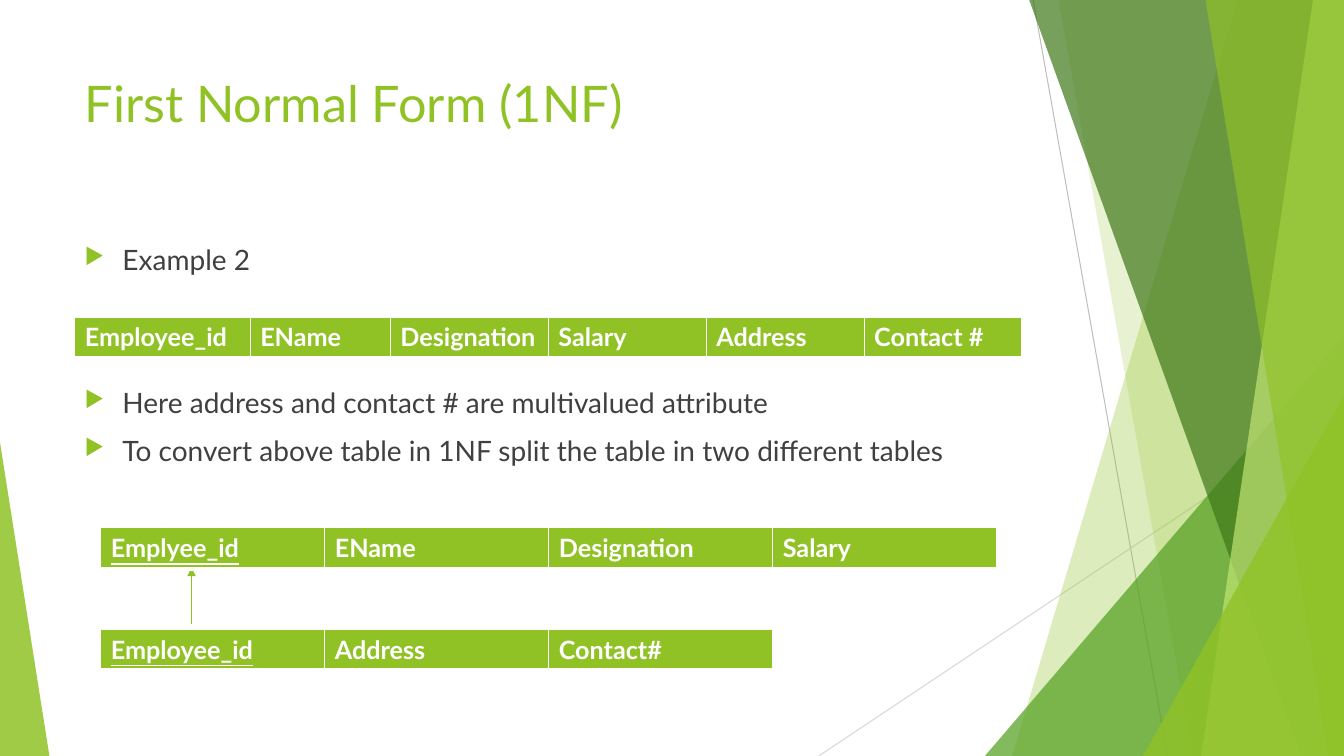
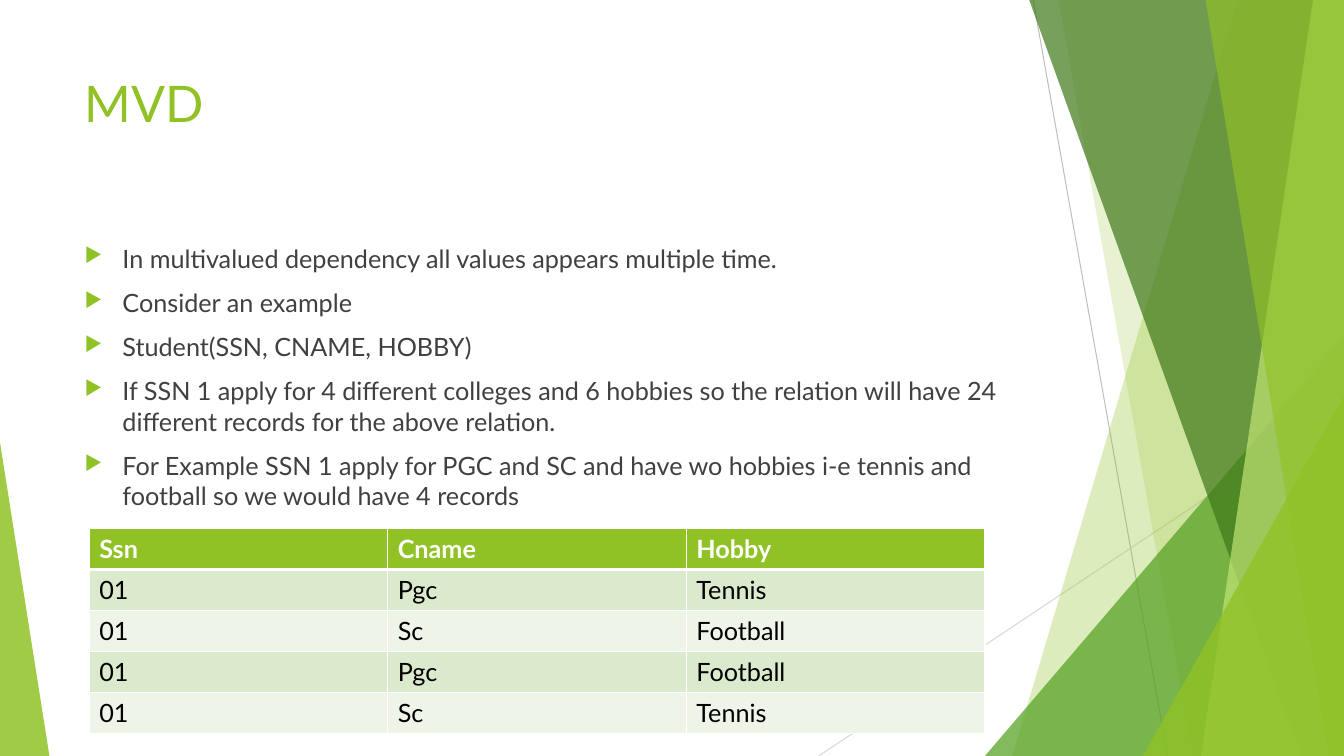
import lxml.etree
import pptx
import pptx.dml.color
import pptx.enum.shapes
import pptx.enum.text
import pptx.oxml.ns
import pptx.util

Pt = pptx.util.Pt
qn = pptx.oxml.ns.qn
RGBColor = pptx.dml.color.RGBColor
SubElement = lxml.etree.SubElement

LIME = RGBColor(0x90, 0xC2, 0x26)
GREEN = RGBColor(0x54, 0xA0, 0x21)
FOREST = RGBColor(0x3F, 0x78, 0x19)
PALE_LIME = RGBColor(0xC0, 0xE4, 0x74)
BAND_DARK = RGBColor(0xDB, 0xE9, 0xCD)
BAND_LIGHT = RGBColor(0xEE, 0xF4, 0xE8)
SILVER = RGBColor(0xBF, 0xBF, 0xBF)
LIGHT_GREY = RGBColor(0xD9, 0xD9, 0xD9)
BODY_GREY = RGBColor(0x40, 0x40, 0x40)
BLACK = RGBColor(0, 0, 0)
WHITE = RGBColor(0xFF, 0xFF, 0xFF)

FONT = "Lato"
WIDTH, HEIGHT = 960, 540
PANEL_TOP = -0.6
TEXT_LEFT, TEXT_WIDTH = 53.4, 676.8
ROW_HEIGHT = 29.3
BULLET_GAP = 10
TABLE_GAP = 78

LINES = [
    (738, 0, 834, HEIGHT, SILVER, 0.75, False),
    (WIDTH, 290, 584.8, HEIGHT, LIGHT_GREY, 0.75, False),
]
DECORATIONS = [
    ("panel", 884, 723, LIME, 30),
    ("panel", 756, 852, LIME, 20),
    ("right wedge", 703.5, 240, GREEN, 72),
    ("panel", 735, 929.5, FOREST, 70),
    ("panel", 938, 858, PALE_LIME, 70),
    ("panel", 861, 949, LIME, 65),
    ("right wedge", 816.5, 283, LIME, 80),
    ("left wedge", 35.3, 316, LIME, 85),
]
PAGES = [
    {
        "title": "First Normal Form (1NF)",
        "bullet_size": 20,
        "bullets": [
            ("Example 2", BULLET_GAP),
            ("Here address and contact # are multivalued attribute", TABLE_GAP),
            ("To convert above table in 1NF split the table in two different tables", BULLET_GAP),
        ],
        "tables": [
            (53.4, 226.4, [125.3, 100.2] + [112.8] * 4, False,
             [["Employee_id", "EName", "Designation", "Salary", "Address", "Contact #"]]),
            (72, 376.9, [160] * 4, True, [["Emplyee_id", "EName", "Designation", "Salary"]]),
            (72, 449.4, [160] * 3, True, [["Employee_id", "Address", "Contact#"]]),
        ],
        "arrows": [(136.8, 446, 136.8, 405.5, LIME, 1, True)],
    },
    {
        "title": "MVD",
        "bullet_size": 18,
        "bullets": [
            ("In multivalued dependency all values appears multiple time.", BULLET_GAP),
            ("Consider an example", BULLET_GAP),
            ("Student(SSN, CNAME, HOBBY)", BULLET_GAP),
            ("If SSN 1 apply for 4 different colleges and 6 hobbies so the relation "
             "will have 24 different records for the above relation.", BULLET_GAP),
            ("For Example SSN 1 apply for PGC and SC and have wo hobbies i-e tennis "
             "and football so we would have 4 records", BULLET_GAP),
        ],
        "tables": [
            (63.7, 377.5, [213.3] * 3, False, [
                ["Ssn", "Cname", "Hobby"],
                ["01", "Pgc", "Tennis"],
                ["01", "Sc", "Football"],
                ["01", "Pgc", "Football"],
                ["01", "Sc", "Tennis"],
            ]),
        ],
        "arrows": [],
    },
]


def write_text(paragraph, text, size=18, color=BLACK, bold=False, underline=False,
               bullet=False, space_before=0):
    run = paragraph.add_run()
    run.text = text
    run.font.name = FONT
    run.font.size = Pt(size)
    run.font.color.rgb = color
    run.font.bold = bold
    run.font.underline = underline
    paragraph.space_before = Pt(space_before)
    if bullet:
        properties = paragraph._p.get_or_add_pPr()
        properties.set("marL", str(Pt(27)))
        properties.set("indent", str(-Pt(27)))
        bullet_color = SubElement(properties, qn("a:buClr"))
        SubElement(bullet_color, qn("a:srgbClr"), val=str(LIME))
        SubElement(properties, qn("a:buSzPct"), val="80000")
        SubElement(properties, qn("a:buChar"), char="▶")


presentation = pptx.Presentation()
presentation.slide_width = Pt(WIDTH)
presentation.slide_height = Pt(HEIGHT)

for page in PAGES:
    slide = presentation.slides.add_slide(presentation.slide_layouts[6])
    shapes = slide.shapes

    for x1, y1, x2, y2, color, weight, arrowhead in LINES + page["arrows"]:
        connector = shapes.add_connector(
            pptx.enum.shapes.MSO_CONNECTOR.STRAIGHT, Pt(x1), Pt(y1), Pt(x2), Pt(y2))
        connector.line.color.rgb = color
        connector.line.width = Pt(weight)
        if arrowhead:
            SubElement(connector.line._get_or_add_ln(), qn("a:tailEnd"), type="triangle")
        SubElement(connector._element.spPr, qn("a:effectLst"))

    for kind, first, second, color, opacity in DECORATIONS:
        if kind == "panel":
            builder = shapes.build_freeform(Pt(first), Pt(PANEL_TOP))
            builder.add_line_segments([
                (Pt(WIDTH), Pt(PANEL_TOP)), (Pt(WIDTH), Pt(HEIGHT)), (Pt(second), Pt(HEIGHT))])
            shape = builder.convert_to_shape()
        else:
            on_right = kind == "right wedge"
            left, right = (first, WIDTH) if on_right else (0, first)
            shape = shapes.add_shape(
                pptx.enum.shapes.MSO_SHAPE.ISOSCELES_TRIANGLE,
                Pt(left), Pt(second), Pt(right - left), Pt(HEIGHT - second))
            shape.adjustments[0] = 1 if on_right else 0
        shape.shadow.inherit = False
        shape.fill.solid()
        shape.fill.fore_color.rgb = color
        fill_color = shape._element.spPr.find(qn("a:solidFill")).find(qn("a:srgbClr"))
        SubElement(fill_color, qn("a:alpha"), val=str(opacity * 1000))
        shape.line.fill.background()

    title = shapes.add_textbox(Pt(TEXT_LEFT), Pt(48), Pt(TEXT_WIDTH), Pt(104)).text_frame
    title.word_wrap = True
    write_text(title.paragraphs[0], page["title"], size=36, color=LIME)

    body = shapes.add_textbox(Pt(TEXT_LEFT), Pt(170), Pt(TEXT_WIDTH), Pt(305)).text_frame
    body.word_wrap = True
    for index, (text, gap) in enumerate(page["bullets"]):
        paragraph = body.add_paragraph() if index else body.paragraphs[0]
        write_text(paragraph, text, size=page["bullet_size"], color=BODY_GREY,
                   bullet=True, space_before=gap)

    for left, top, widths, has_key, rows in page["tables"]:
        table = shapes.add_table(
            len(rows), len(widths), Pt(left), Pt(top),
            Pt(sum(widths)), Pt(ROW_HEIGHT * len(rows))).table
        for column, width in zip(table.columns, widths):
            column.width = Pt(width)
        for row_index, values in enumerate(rows):
            table.rows[row_index].height = Pt(ROW_HEIGHT)
            header = row_index == 0
            band = BAND_DARK if row_index % 2 else BAND_LIGHT
            for column_index, value in enumerate(values):
                cell = table.cell(row_index, column_index)
                cell_properties = cell._tc.get_or_add_tcPr()
                for side in ("lnL", "lnR", "lnT", "lnB"):
                    thick = (header and side == "lnB") or (row_index == 1 and side == "lnT")
                    border = SubElement(cell_properties, qn("a:" + side),
                                        w=str(Pt(3 if thick else 1)))
                    border_fill = SubElement(border, qn("a:solidFill"))
                    SubElement(border_fill, qn("a:srgbClr"), val=str(WHITE))
                cell.fill.solid()
                cell.fill.fore_color.rgb = LIME if header else band
                write_text(cell.text_frame.paragraphs[0], value,
                           color=WHITE if header else BLACK, bold=header,
                           underline=has_key and column_index == 0)

presentation.save("out.pptx")
